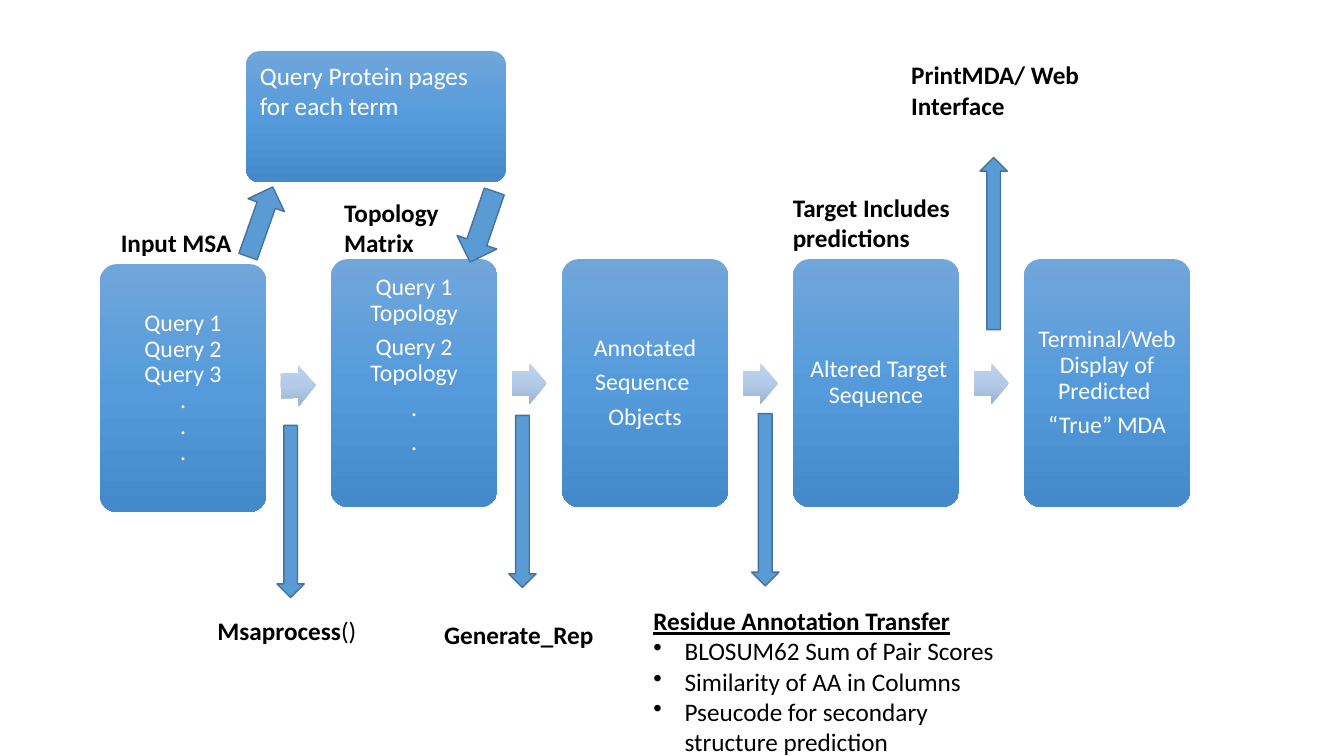
from copy import deepcopy

from lxml.etree import SubElement
from pptx import Presentation
from pptx.dml.color import RGBColor
from pptx.enum.shapes import MSO_SHAPE as Preset
from pptx.enum.text import MSO_ANCHOR as Anchor, MSO_AUTO_SIZE as AutoSize, PP_ALIGN as Align
from pptx.oxml.ns import qn
from pptx.util import Inches, Pt

COLUMNS, ROWS = 160, 90
STAGE_LEFT, STAGE_TOP, STAGE_PITCH = 11.9, 30.85, 27.5
STAGE_WIDTH, STAGE_HEIGHT = 19.8, 29.5
FIRST_DROP = 0.6


def rgb(value):
    return RGBColor.from_string(value)


class Diagram:
    font = "Calibri"
    box_shades = ("71A6DB", "559BDB", "448ACA")
    step_shades = ("C0D2EB", "B3CBE9", "9BB4D3")
    arrow_fill, arrow_line = "5B9BD5", "43739E"
    light, dark = "FFFFFF", "000000"

    def __init__(self, deck):
        self.slide = deck.slides.add_slide(deck.slide_layouts[6])
        self.column = deck.slide_width / COLUMNS
        self.row = deck.slide_height / ROWS

    def place(self, left, top, width, height):
        return (round(left * self.column), round(top * self.row),
                round(width * self.column), round(height * self.row))

    def preset(self, kind, *area):
        shape = self.slide.shapes.add_shape(kind, *self.place(*area))
        shape.shadow.inherit = False
        return shape

    def shade(self, shape, shades):
        shape.line.fill.background()
        shape.fill.gradient()
        shape.fill.gradient_angle = 270
        first = shape._element.spPr.find(qn("a:gradFill")).find(qn("a:gsLst"))[0]
        first.addnext(deepcopy(first))
        for stop, position, colour in zip(shape.fill.gradient_stops, (0, 0.5, 1), shades):
            stop.position = position
            stop.color.rgb = rgb(colour)

    def style(self, paragraph, size, colour, bold=False):
        paragraph.font.name = self.font
        paragraph.font.size = Pt(size)
        paragraph.font.color.rgb = rgb(colour)
        paragraph.font.bold = bold

    def add_lines(self, frame, lines):
        frame.word_wrap = True
        for number, line in enumerate(lines):
            paragraph = frame.add_paragraph() if number else frame.paragraphs[0]
            paragraph.text = line
            yield paragraph

    def box(self, *area):
        box = self.preset(Preset.ROUNDED_RECTANGLE, *area)
        box.adjustments[0] = 0.1
        self.shade(box, self.box_shades)
        return box

    def stage(self, left, top, lines, bottom_inset=0.07):
        frame = self.box(left, top, STAGE_WIDTH, STAGE_HEIGHT).text_frame
        frame.vertical_anchor = Anchor.MIDDLE
        frame.margin_left = frame.margin_right = frame.margin_top = Inches(0.07)
        frame.margin_bottom = Inches(bottom_inset)
        for paragraph in self.add_lines(frame, lines):
            self.style(paragraph, 17, self.light)
            paragraph.alignment = Align.CENTER
            paragraph.line_spacing = 0.9
            paragraph.space_after = Pt(6.4)

    def lookup(self, text, *area):
        frame = self.box(*area).text_frame
        frame.vertical_anchor = Anchor.TOP
        for paragraph in self.add_lines(frame, [text]):
            self.style(paragraph, 18, self.light)
            paragraph.alignment = Align.LEFT

    def step(self, left, top, tilt):
        step = self.preset(Preset.RIGHT_ARROW, left, top, 4.15, 4.9)
        step.adjustments[0] = 0.6
        step.rotation = tilt
        self.shade(step, self.step_shades)

    def arrow(self, centre_x, centre_y, angle, length=20.5, thickness=3.25):
        arrow = self.preset(Preset.RIGHT_ARROW, centre_x - length / 2,
                            centre_y - thickness / 2, length, thickness)
        arrow.rotation = angle
        arrow.fill.solid()
        arrow.fill.fore_color.rgb = rgb(self.arrow_fill)
        arrow.line.color.rgb = rgb(self.arrow_line)
        arrow.line.width = Pt(1)

    def label(self, text, *area, plain_end="", bullets=()):
        frame = self.slide.shapes.add_textbox(*self.place(*area)).text_frame
        heading, *points = self.add_lines(frame, [text, *bullets])
        frame.auto_size = AutoSize.SHAPE_TO_FIT_TEXT
        self.style(heading, 18, self.dark, bold=True)
        if plain_end:
            ending = heading.add_run()
            ending.text = plain_end
            ending.font.bold = False
        if points:
            heading.font.underline = True
        for point in points:
            self.style(point, 18, self.dark)
            properties = point._p.get_or_add_pPr()
            properties.set("marL", str(Inches(0.31)))
            properties.set("indent", str(Inches(-0.31)))
            bullet = SubElement(properties, qn("a:buChar"))
            bullet.set("char", "•")
            properties.insert(0, bullet)


def main():
    deck = Presentation()
    deck.slide_width, deck.slide_height = Inches(13.33), Inches(7.5)
    diagram = Diagram(deck)

    stages = [
        (["Query 1\nQuery 2\nQuery 3\n.\n.\n."], 0.07),
        (["Query 1 Topology", "Query 2 Topology", ".", "."], 0.42),
        ([" Annotated ", "Sequence ", "Objects"], 0.07),
        ([" Altered Target Sequence"], 0.07),
        (["Terminal/Web Display of Predicted ", "“True” MDA"], 0.07),
    ]
    for number, (lines, bottom_inset) in enumerate(stages):
        left = STAGE_LEFT + number * STAGE_PITCH
        top = STAGE_TOP if number else STAGE_TOP + FIRST_DROP
        diagram.stage(left, top, lines, bottom_inset)
        if number < len(stages) - 1:
            diagram.step(left + 21.55, 43.2 if number else 43.45, 0 if number else -1.2)

    diagram.lookup("Query Protein pages for each term", 29.3, 6.1, 30.9, 15.6)

    diagram.label("Input MSA", 13.2, 26.5, 15.6, 4.8)
    diagram.label("Topology Matrix", 39.8, 22.9, 14.6, 8.5)
    diagram.label("Generate_Rep", 51.7, 73.1, 20.9, 4.8)
    diagram.label("Msaprocess", 24.7, 72.7, 19.4, 4.8, plain_end="()")
    diagram.label("Residue Annotation Transfer", 76.6, 71.5, 44.4, 26.6, bullets=[
        "BLOSUM62 Sum of Pair Scores",
        "Similarity of AA in Columns",
        "Pseucode for secondary structure prediction",
    ])
    diagram.label("PrintMDA/ Web Interface", 107.3, 6.5, 25.1, 8.5)
    diagram.label("Target Includes predictions", 93.2, 22.3, 24.1, 8.5)

    diagram.arrow(31, 26.4, 289.5, 8.8, 4.6)
    diagram.arrow(57.4, 27, 108.9, 8.9, 5)
    for centre_x, centre_y in [(34.6, 60.9), (62.2, 59.7), (91.1, 59.5)]:
        diagram.arrow(centre_x, centre_y, 90)
    diagram.arrow(118.3, 29, 270)

    deck.save("out.pptx")


if __name__ == "__main__":
    main()
